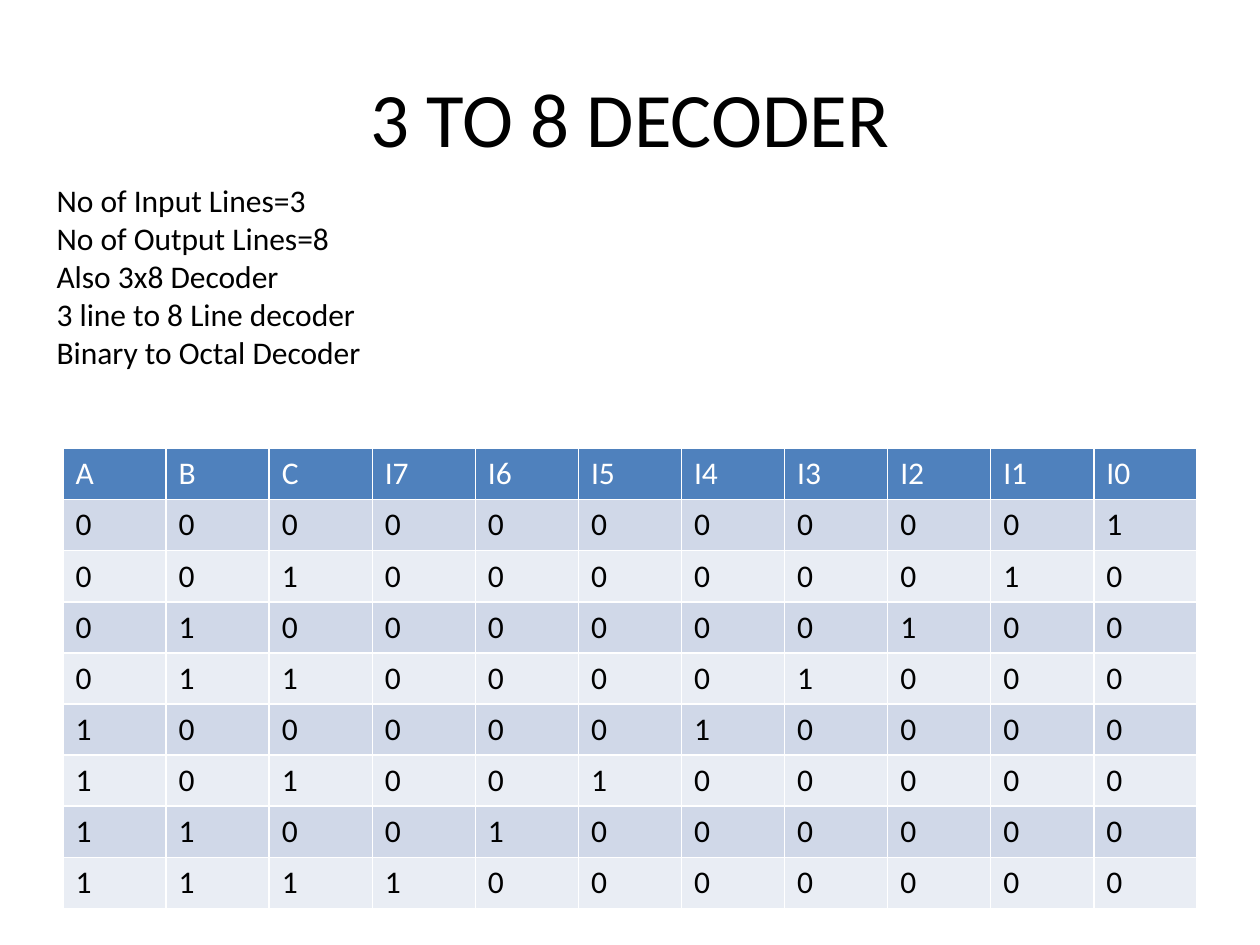
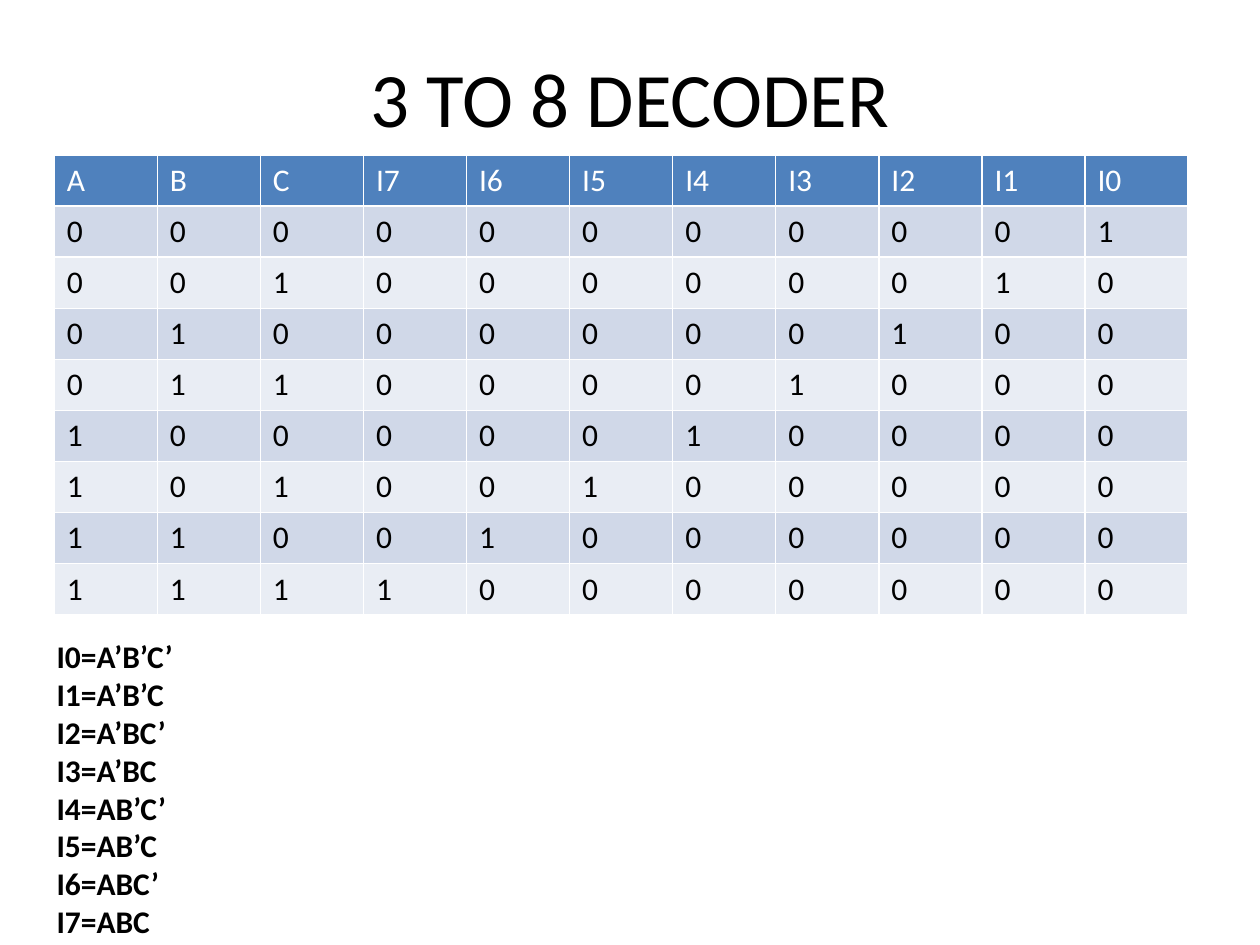
from itertools import product

from lxml import etree
from pptx import Presentation
from pptx.dml.color import RGBColor
from pptx.enum.text import MSO_ANCHOR, PP_ALIGN
from pptx.oxml.ns import qn
from pptx.util import Inches, Pt

CENTER, LEFT = PP_ALIGN.CENTER, PP_ALIGN.LEFT
MIDDLE, TOP = MSO_ANCHOR.MIDDLE, MSO_ANCHOR.TOP

FONT = "Calibri"
BLACK, WHITE = "000000", "FFFFFF"
HEADER_FILL = "4F81BD"
BAND_FILLS = ("D0D8E8", "E9EDF4")
TITLE_FORMAT = {"size": Pt(44), "bold": False}
BODY_FORMAT = {"size": Pt(18), "bold": False}
BOLD_FORMAT = {"size": Pt(18), "bold": True}

TITLE = "3 TO 8 DECODER"
INPUTS = "ABC"
INPUT_ROWS = list(product((0, 1), repeat=len(INPUTS)))
OUTPUTS = range(len(INPUT_ROWS) - 1, -1, -1)
FACTS = [
    "No of Input Lines=3",
    "No of Output Lines=8",
    "Also 3x8 Decoder",
    "3 line to 8 Line decoder",
    "Binary to Octal Decoder",
]


def rgb(color):
    return RGBColor.from_string(color)


def write(p, text, formats, color=BLACK):
    r = p.add_run()
    r.text = text
    r.font.name = FONT
    r.font.color.rgb = rgb(color)
    for name, value in formats.items():
        setattr(r.font, name, value)


def add_lines(s, box, lines, formats, align=LEFT, anchor=TOP):
    tf = s.shapes.add_textbox(*map(Inches, box)).text_frame
    tf.word_wrap = True
    tf.vertical_anchor = anchor
    for i, line in enumerate(lines):
        p = tf.paragraphs[0] if i == 0 else tf.add_paragraph()
        p.alignment = align
        write(p, line, formats)


def add_title(s, box):
    add_lines(s, box, [TITLE], TITLE_FORMAT, CENTER, MIDDLE)


def add_borders(cell):
    tc_pr = cell._tc.get_or_add_tcPr()
    for side in "LRTB":
        ln = etree.SubElement(tc_pr, qn(f"a:ln{side}"), w=str(Pt(1)))
        fill = etree.SubElement(ln, qn("a:solidFill"))
        etree.SubElement(fill, qn("a:srgbClr"), val=WHITE)


def truth_rows():
    """Header, then each input combination with its single active output."""
    rows = [[*INPUTS, *(f"I{n}" for n in OUTPUTS)]]
    for number, bits in enumerate(INPUT_ROWS):
        rows.append([*bits, *(int(n == number) for n in OUTPUTS)])
    return rows


def minterms():
    """Output equations, with a prime on each input that is 0."""
    for number, bits in enumerate(INPUT_ROWS):
        term = "".join(name + ("" if bit else "’") for name, bit in zip(INPUTS, bits))
        yield f"I{number}={term}"


def add_truth_table(s, box):
    rows = truth_rows()
    left, top, width, height = map(Inches, box)
    table = s.shapes.add_table(len(rows), len(rows[0]), left, top, width, height).table
    for column in table.columns:
        column.width = width // len(rows[0])
    for i, values in enumerate(rows):
        table.rows[i].height = height // len(rows)
        fill = BAND_FILLS[(i - 1) % 2] if i else HEADER_FILL
        for cell, value in zip(table.rows[i].cells, values):
            add_borders(cell)
            cell.fill.solid()
            cell.fill.fore_color.rgb = rgb(fill)
            write(cell.text_frame.paragraphs[0], str(value), BODY_FORMAT,
                  BLACK if i else WHITE)


def facts_slide(s):
    add_title(s, (0.5, 0.3, 9, 1.25))
    add_truth_table(s, (0.5, 3.56, 9, 3.65))
    add_lines(s, (0.35, 1.39, 8.98, 1.62), FACTS, BODY_FORMAT)


def equations_slide(s):
    add_title(s, (0.5, 0.3, 9, 0.93))
    add_truth_table(s, (0.43, 1.23, 9, 3.65))
    add_lines(s, (0.35, 5.01, 8.98, 2.52), minterms(), BOLD_FORMAT)


def main():
    prs = Presentation()
    prs.slide_width, prs.slide_height = Inches(10), Inches(7.5)
    for build in (facts_slide, equations_slide):
        build(prs.slides.add_slide(prs.slide_layouts[6]))
    prs.save("out.pptx")


if __name__ == "__main__":
    main()
